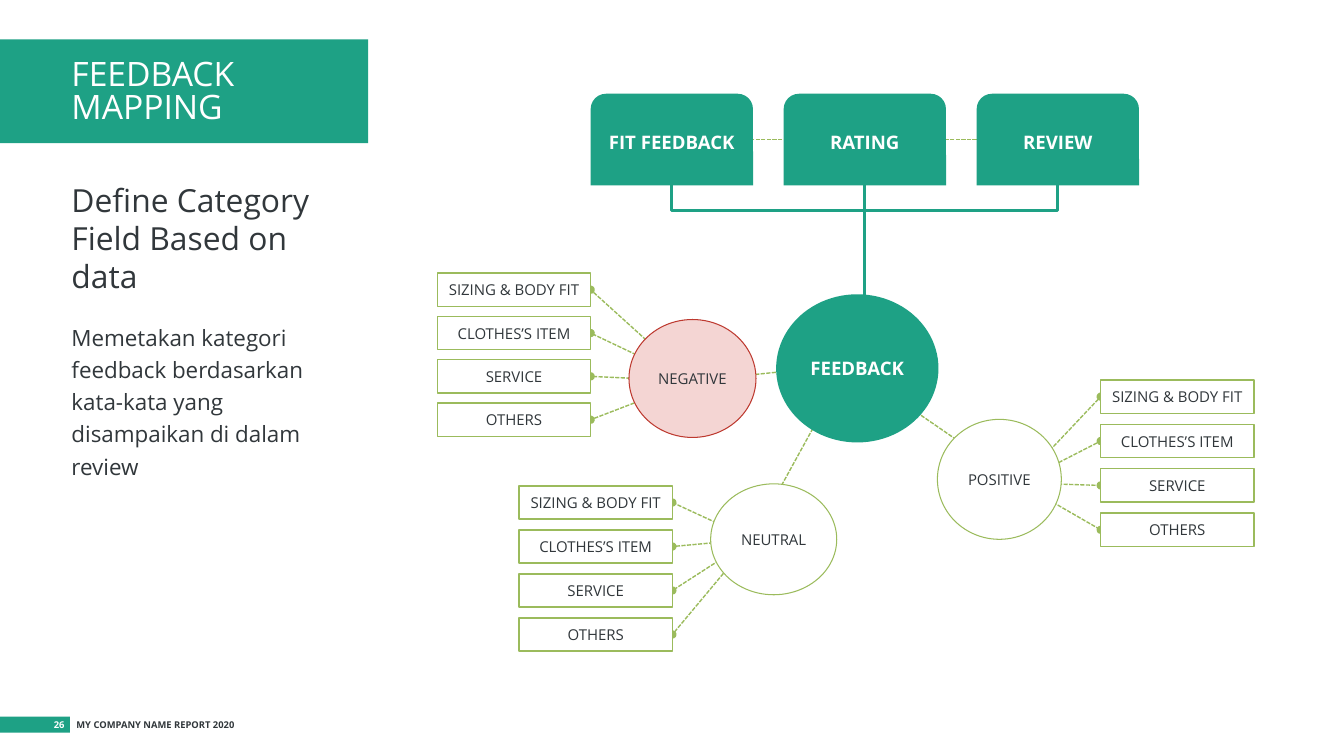
from lxml.etree import SubElement
from pptx import Presentation
from pptx.dml.color import RGBColor
from pptx.enum.dml import MSO_LINE
from pptx.enum.shapes import MSO_CONNECTOR, MSO_SHAPE as Kind
from pptx.enum.text import MSO_ANCHOR as Anchor, PP_ALIGN as Align
from pptx.oxml.ns import qn
from pptx.util import Inches, Pt

TEAL = RGBColor(0x1E, 0xA1, 0x85)
OLIVE = RGBColor(0x9B, 0xBB, 0x5C)
RED = RGBColor(0xBD, 0x39, 0x2F)
PINK = RGBColor(0xF4, 0xD5, 0xD3)
INK = RGBColor(0x31, 0x37, 0x3B)
WHITE = RGBColor(0xFF, 0xFF, 0xFF)
FONT = "Open Sans"

deck = Presentation()
deck.slide_width, deck.slide_height = Inches(13.33), Inches(7.5)
page = deck.slides.add_slide(deck.slide_layouts[6])

# All places are given on a grid of 100 columns by 100 rows.
COL, ROW = deck.slide_width / 100, deck.slide_height / 100


def add_box(kind, area, fill, outline=None, weight=1, text="", size=10.7, color=INK, bold=False):
    left, top, width, height = area
    box = page.shapes.add_shape(kind, round(left * COL), round(top * ROW),
                                round(width * COL), round(height * ROW))
    box.shadow.inherit = False
    box.fill.solid()
    box.fill.fore_color.rgb = fill
    if outline is None:
        box.line.fill.background()
    else:
        box.line.color.rgb = outline
        box.line.width = Pt(weight)
    if text:
        frame = box.text_frame
        frame.margin_left = frame.margin_right = 0
        frame.vertical_anchor = Anchor.MIDDLE
        para = frame.paragraphs[0]
        para.alignment = Align.CENTER
        span = para.add_run()
        span.text = text
        span.font.name, span.font.size = FONT, Pt(size)
        span.font.color.rgb, span.font.bold = color, bold
    return box


def add_line(start, end, color=OLIVE, weight=1, dashed=True, dot=False):
    line = page.shapes.add_connector(
        MSO_CONNECTOR.STRAIGHT, round(start[0] * COL), round(start[1] * ROW),
        round(end[0] * COL), round(end[1] * ROW))
    line.line.color.rgb = color
    line.line.width = Pt(weight)
    if dashed:
        line.line.dash_style = MSO_LINE.SQUARE_DOT
    properties = line._element.spPr
    if dot:
        SubElement(properties.find(qn("a:ln")), qn("a:tailEnd"), type="oval")
    SubElement(properties, qn("a:effectLst"))
    return line


# Title banner and footer bar
add_box(Kind.RECTANGLE, (0, 5.2, 27.4, 13.73), TEAL)
add_box(Kind.RECTANGLE, (0, 94.8, 5.2, 2.13), TEAL)

# Text blocks: area, wrap, anchor, alignment, bold, paragraphs
# Each paragraph: text, size, colour, line spacing, space before
text_blocks = [
    ((4.95, 94.8, 13.35, 2.4), False, Anchor.MIDDLE, Align.LEFT, True,
     [("MY COMPANY NAME REPORT 2020", 6.7, INK, 0.7, 0)]),
    ((3.08, 94.8, 2.47, 2.4), False, Anchor.MIDDLE, Align.RIGHT, True,
     [("26", 6.7, WHITE, 0.7, 0)]),
    ((4.58, 4.27, 21.38, 16.13), True, Anchor.MIDDLE, Align.LEFT, False,
     [("FEEDBACK MAPPING", 24, WHITE, 0.8, 0)]),
    ((4.58, 23.2, 21.6, 69.73), True, Anchor.TOP, Align.LEFT, False,
     [("Define Category Field Based on data", 22.7, INK, 1.0, 0),
      ("Memetakan kategori feedback berdasarkan kata-kata yang disampaikan di dalam review",
       16, INK, 1.2, 17)]),
]
for (left, top, width, height), wrap, anchor, alignment, bold, paragraphs in text_blocks:
    box = page.shapes.add_textbox(round(left * COL), round(top * ROW),
                                  round(width * COL), round(height * ROW))
    frame = box.text_frame
    frame.word_wrap, frame.vertical_anchor = wrap, anchor
    for index, (text, size, color, spacing, before) in enumerate(paragraphs):
        para = frame.add_paragraph() if index else frame.paragraphs[0]
        para.alignment, para.line_spacing = alignment, spacing
        if before:
            para.space_before = Pt(before)
        span = para.add_run()
        span.text = text
        span.font.name, span.font.size = FONT, Pt(size)
        span.font.color.rgb, span.font.bold = color, bold

# Sentiments: name, circle, fill, outline, spoke centre, leaf left, leaf top, leaf step, joined side
LEFT_SIDE, RIGHT_SIDE = 1, 3
LEAF_WIDTH, LEAF_HEIGHT = 11.4, 4.4
categories = ["SIZING & BODY FIT", "CLOTHES’S ITEM", "SERVICE", "OTHERS"]
sentiments = [
    ("POSITIVE", (69.75, 55.47, 9.22, 15.87), WHITE, OLIVE, (75.83, 63.87),
     81.9, 50.27, 5.87, LEFT_SIDE),
    ("NEUTRAL", (52.88, 64, 9.38, 14.67), WHITE, OLIVE, (55.95, 71.33),
     38.63, 64.27, 5.82, RIGHT_SIDE),
    ("NEGATIVE", (46.8, 42.27, 9.45, 15.6), PINK, RED, (51.45, 50.4),
     32.55, 36.13, 5.73, RIGHT_SIDE),
]
feedback_centre = (63.08, 48.27)
for name, circle, fill, outline, centre, left, top, step, side in sentiments:
    add_line(feedback_centre, centre)
    for row, category in enumerate(categories):
        leaf = add_box(Kind.RECTANGLE, (left, top + row * step, LEAF_WIDTH, LEAF_HEIGHT),
                       WHITE, OLIVE, text=category)
        spoke = add_line(centre, (left, top), dot=True)
        spoke.end_connect(leaf, side)
        leaf._element.addprevious(spoke._element)  # the leaf covers half of the dot
    add_box(Kind.OVAL, circle, fill, outline, 0.75, name)
add_box(Kind.OVAL, (57.75, 38.93, 12.08, 19.6), TEAL,
        text="FEEDBACK", size=13.3, color=WHITE, bold=True)

# Data sources along the top
SOURCE_LEFT, SOURCE_TOP, SOURCE_STEP = 43.95, 12.4, 14.36
SOURCE_WIDTH, SOURCE_HEIGHT = 12.08, 12.13
source_bottom = SOURCE_TOP + SOURCE_HEIGHT
source_middle = SOURCE_TOP + SOURCE_HEIGHT / 2
add_line((SOURCE_LEFT + 2 * SOURCE_STEP, source_middle),
         (SOURCE_LEFT + SOURCE_WIDTH, source_middle))
for column, source in enumerate(["FIT FEEDBACK", "RATING", "REVIEW"]):
    add_box(Kind.ROUND_2_SAME_RECTANGLE,
            (SOURCE_LEFT + column * SOURCE_STEP, SOURCE_TOP, SOURCE_WIDTH, SOURCE_HEIGHT),
            TEAL, text=source, size=13.3, color=WHITE, bold=True)

# Bracket under the sources, and the trunk down to the feedback circle
first, middle, last = [SOURCE_LEFT + SOURCE_WIDTH / 2 + column * SOURCE_STEP
                       for column in range(3)]
BRACKET_ROW = 27.87
outline = page.shapes.build_freeform(round(first * COL), round(source_bottom * ROW))
outline.add_line_segments(
    [(round(x * COL), round(y * ROW))
     for x, y in [(first, BRACKET_ROW), (last, BRACKET_ROW), (last, source_bottom)]],
    close=False)
bracket = outline.convert_to_shape()
bracket.shadow.inherit = False
bracket.fill.background()
bracket.line.color.rgb = TEAL
bracket.line.width = Pt(2)
add_line((middle, source_bottom), (middle, 41.7), TEAL, 2, dashed=False)

deck.save("out.pptx")
